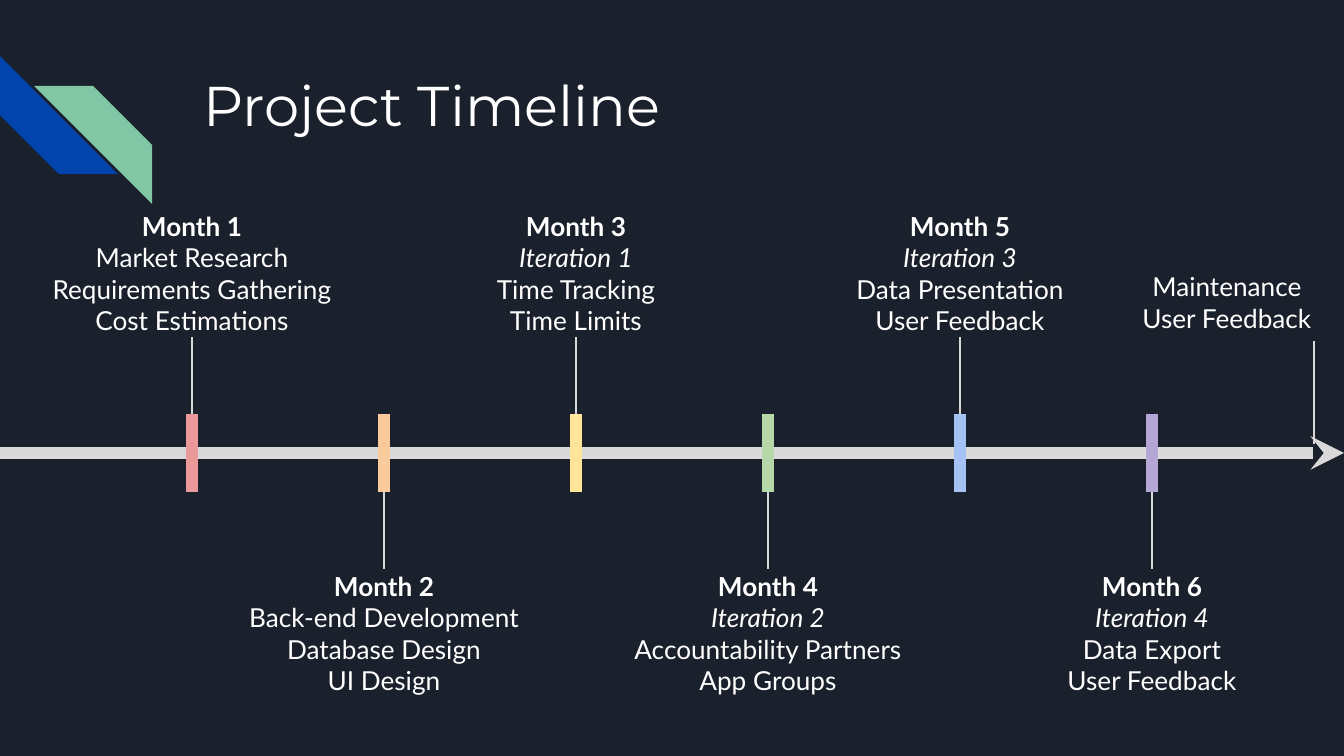
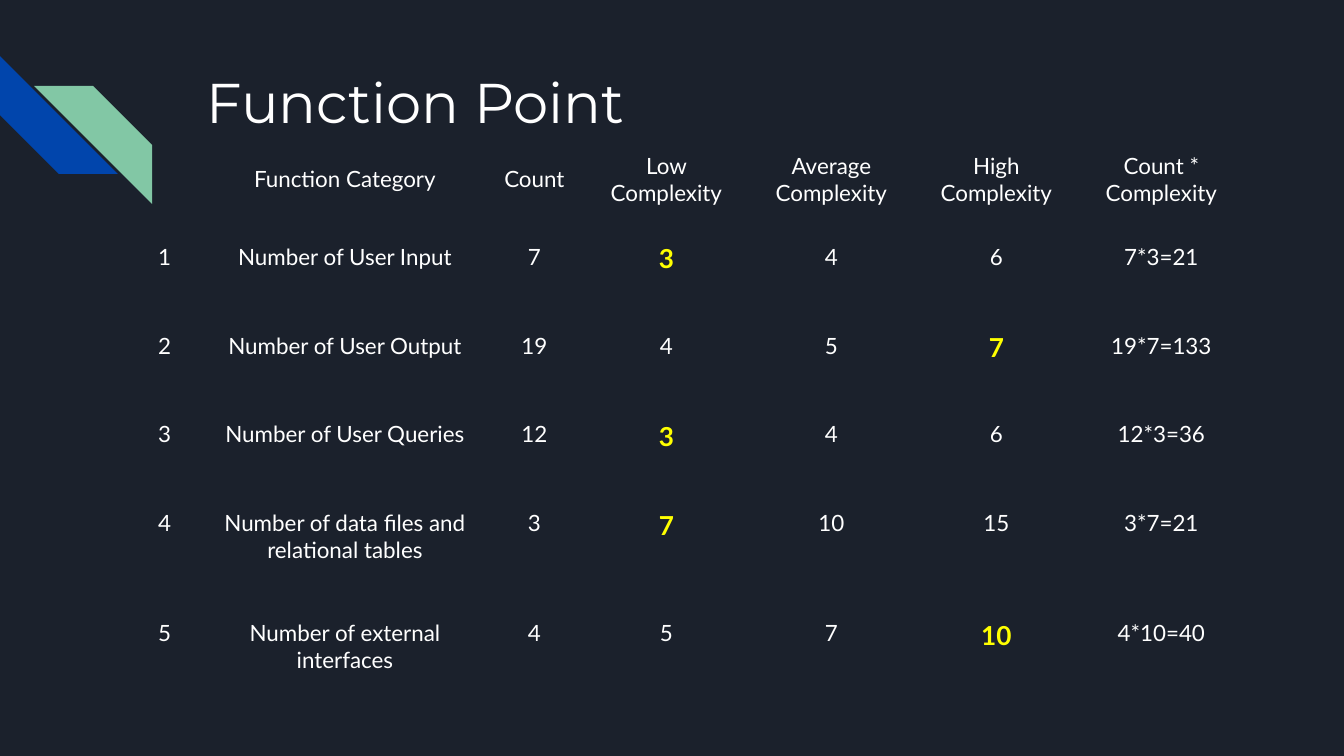
from lxml import etree
from pptx import Presentation
from pptx.dml.color import RGBColor
from pptx.enum.shapes import MSO_CONNECTOR, MSO_SHAPE
from pptx.enum.text import MSO_ANCHOR, PP_ALIGN
from pptx.oxml.ns import qn
from pptx.util import Pt

STRIPE = MSO_SHAPE.DIAGONAL_STRIPE
STRAIGHT = MSO_CONNECTOR.STRAIGHT
TOP, MIDDLE = MSO_ANCHOR.TOP, MSO_ANCHOR.MIDDLE
LEFT, CENTER, JUSTIFY = PP_ALIGN.LEFT, PP_ALIGN.CENTER, PP_ALIGN.JUSTIFY

NAVY = RGBColor(0x1B, 0x21, 0x2C)
BLUE = RGBColor(0x01, 0x45, 0xAC)
MINT = RGBColor(0x82, 0xC7, 0xA5)
WHITE = RGBColor(0xFF, 0xFF, 0xFF)
GRAY = RGBColor(0xD9, 0xD9, 0xD9)
YELLOW = RGBColor(0xFF, 0xFF, 0x00)
ROSE = RGBColor(0xEA, 0x99, 0x99)
PEACH = RGBColor(0xF9, 0xCB, 0x9C)
CREAM = RGBColor(0xFF, 0xE5, 0x99)
SAGE = RGBColor(0xB6, 0xD7, 0xA8)
SKY = RGBColor(0xA4, 0xC2, 0xF4)
LILAC = RGBColor(0xB4, 0xA7, 0xD6)

HEAD, BODY = "Montserrat", "Lato"
WIDE, HIGH = 1344, 756

# Tick colour, then the lines of each month
MONTHS = [
    (ROSE, "Month 1", "Market Research", "Requirements Gathering", "Cost Estimations"),
    (PEACH, "Month 2", "Back-end Development", "Database Design", "UI Design"),
    (CREAM, "Month 3", "Iteration 1", "Time Tracking", "Time Limits"),
    (SAGE, "Month 4", "Iteration 2", "Accountability Partners", "App Groups"),
    (SKY, "Month 5", "Iteration 3", "Data Presentation", "User Feedback"),
    (LILAC, "Month 6", "Iteration 4", "Data Export", "User Feedback"),
]

POINTS = [
    ("", "Function Category", "Count", "Low Complexity", "Average Complexity",
     "High Complexity", "Count * Complexity"),
    ("1", "Number of User Input", "7", "3", "4", "6", "7*3=21"),
    ("2", "Number of User Output", "19", "4", "5", "7", "19*7=133"),
    ("3", "Number of User Queries", "12", "3", "4", "6", "12*3=36"),
    ("4", "Number of data files and relational tables", "3", "7", "10", "15", "3*7=21"),
    ("5", "Number of external interfaces", "4", "5", "7", "10", "4*10=40"),
]
CHOSEN = {(1, 3), (2, 5), (3, 3), (4, 3), (5, 5)}
COLS = [56, 280, 99, 165, 165, 165, 165]
ROWS = [110, 89, 89, 89, 110, 110]


def px(n):
    return round(n * 914400 / 134.4)


def write(frame, text, size=14, font=BODY, color=WHITE, bold=False,
          italic=False, align=CENTER, after=0):
    """Fill the empty first paragraph of the frame, or add one more."""
    para = frame.paragraphs[0] if not frame.text else frame.add_paragraph()
    para.alignment = align
    para.space_after = Pt(after)
    run = para.add_run()
    run.text = text
    face = run.font
    face.name, face.size, face.color.rgb = font, Pt(size), color
    face.bold, face.italic = bold, italic


def pad(part, inset):
    part.margin_left = part.margin_right = px(inset)
    part.margin_top = part.margin_bottom = px(inset)


def add_box(slide, x, y, w, h, anchor):
    box = slide.shapes.add_textbox(px(x), px(y), px(w), px(h))
    frame = box.text_frame
    frame.word_wrap = True
    frame.vertical_anchor = anchor
    pad(frame, 13)
    return box


def add_line(slide, x1, y1, x2, y2, color=GRAY, width=0.75, arrow=False):
    line = slide.shapes.add_connector(STRAIGHT, px(x1), px(y1), px(x2), px(y2))
    line.line.color.rgb = color
    line.line.width = Pt(width)
    props = line.element.spPr
    if arrow:
        etree.SubElement(props.find(qn("a:ln")), qn("a:tailEnd"), type="stealth")
    etree.SubElement(props, qn("a:effectLst"))
    return line


def add_label(slide, x, y, w, h, lines):
    box = add_box(slide, x, y, w, h, MIDDLE)
    for text in lines:
        write(box.text_frame, text, bold=text.startswith("Month"),
              italic=text.startswith("Iteration"))
    return box


def add_stripes(slide, x, y, side=118):
    for dx, dy, turn, color in [(0, 0, 270, BLUE), (34, 30, 90, MINT)]:
        band = slide.shapes.add_shape(STRIPE, px(x + dx), px(y + dy), px(side), px(side))
        band.rotation = turn
        band.shadow.inherit = False
        band.fill.solid()
        band.fill.fore_color.rgb = color
        band.line.fill.background()


def add_page(deck, title, x, y):
    slide = deck.slides.add_slide(deck.slide_layouts[6])
    add_stripes(slide, 0, 56)
    box = add_box(slide, x, y, 1035, 134, TOP)
    write(box.text_frame, title, size=30, font=HEAD, align=LEFT)
    return slide


def add_months(slide, x, y, w):
    """Time axis at height y, with month labels above and below in turn."""
    half, stem, tall, wide = 39, 77, 128, 326
    step = w // (len(MONTHS) + 1)
    add_line(slide, x - 4, y, x + w, y, width=6, arrow=True)

    for i, (color, *lines) in enumerate(MONTHS):
        mid = x + step * (i + 1)
        above = i % 2 == 0
        side = -1 if above else 1
        start, end = y + side * half, y + side * (half + stem)
        add_line(slide, mid, y - half, mid, y + half, color, 6)
        box = add_label(slide, mid - wide // 2, end - tall if above else end,
                        wide, tall, lines)
        link = add_line(slide, mid, start, mid, end)
        link.end_connect(box, 2 if above else 0)

    # Work after the last month
    last = x + w - 30
    add_line(slide, last, y - 9, last, y - 112)
    add_label(slide, last - 216, y - 194, 258, 86, ["Maintenance", "User Feedback"])


def add_points(slide, x, y):
    grid = slide.shapes.add_table(len(ROWS), len(COLS), px(x), px(y),
                                  px(sum(COLS)), px(sum(ROWS))).table
    grid.first_row = grid.horz_banding = False
    for col, wide in zip(grid.columns, COLS):
        col.width = px(wide)
    for r, (row, tall) in enumerate(zip(grid.rows, ROWS)):
        row.height = px(tall)
        for c, cell in enumerate(row.cells):
            fill_cell(cell, r, c)


def fill_cell(cell, r, c):
    # Borders go before the fill
    props = cell._tc.get_or_add_tcPr()
    for edge in ("a:lnL", "a:lnR", "a:lnT", "a:lnB"):
        etree.SubElement(etree.SubElement(props, qn(edge)), qn("a:noFill"))
    cell.fill.background()
    pad(cell, 9)
    cell.vertical_anchor = TOP if r else MIDDLE
    if POINTS[r][c]:
        mark = (r, c) in CHOSEN
        write(cell.text_frame, POINTS[r][c], size=14 if mark else 12,
              color=YELLOW if mark else WHITE, bold=mark,
              align=CENTER if c else JUSTIFY, after=12)


def main():
    deck = Presentation()
    deck.slide_width, deck.slide_height = px(WIDE), px(HIGH)
    back = deck.slide_master.background.fill
    back.solid()
    back.fore_color.rgb = NAVY

    add_months(add_page(deck, "Project Timeline", 191, 58), 0, 453, WIDE)
    add_points(add_page(deck, "Function Point", 194, 55), 149, 124)
    deck.save("out.pptx")


if __name__ == "__main__":
    main()
